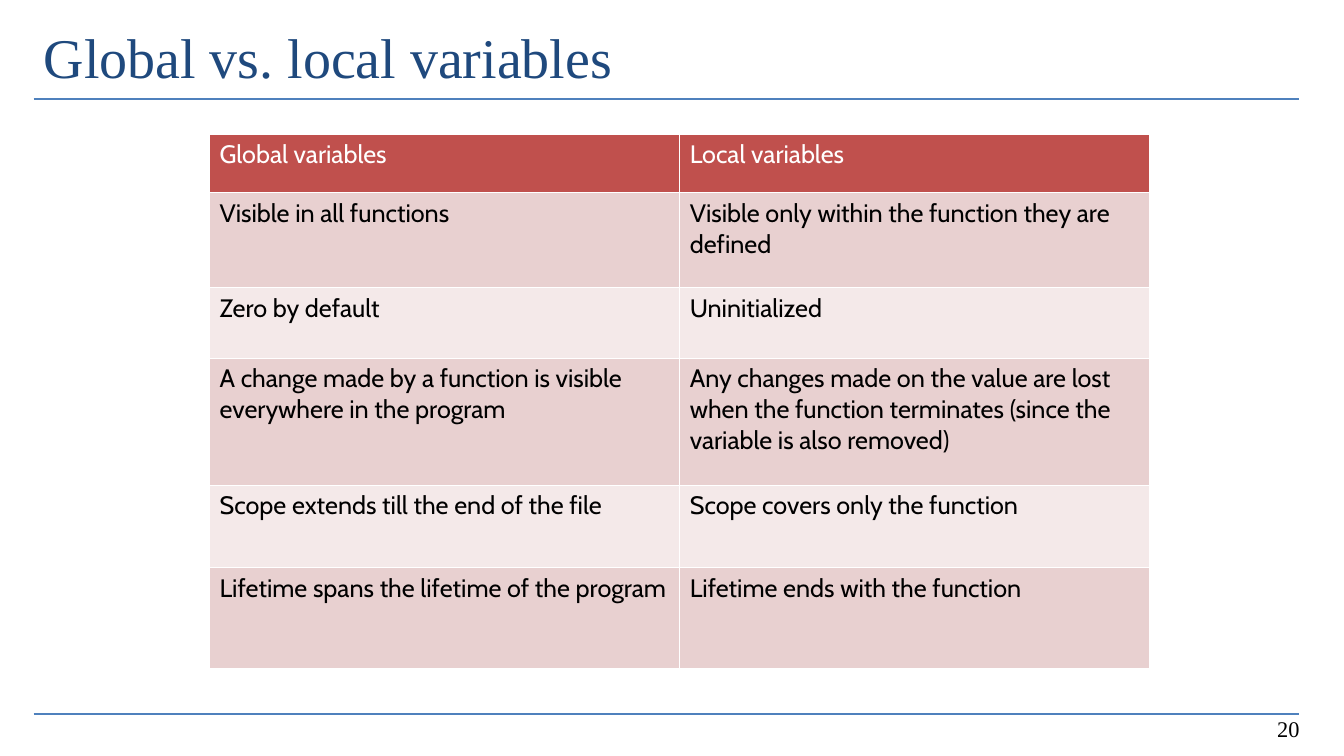
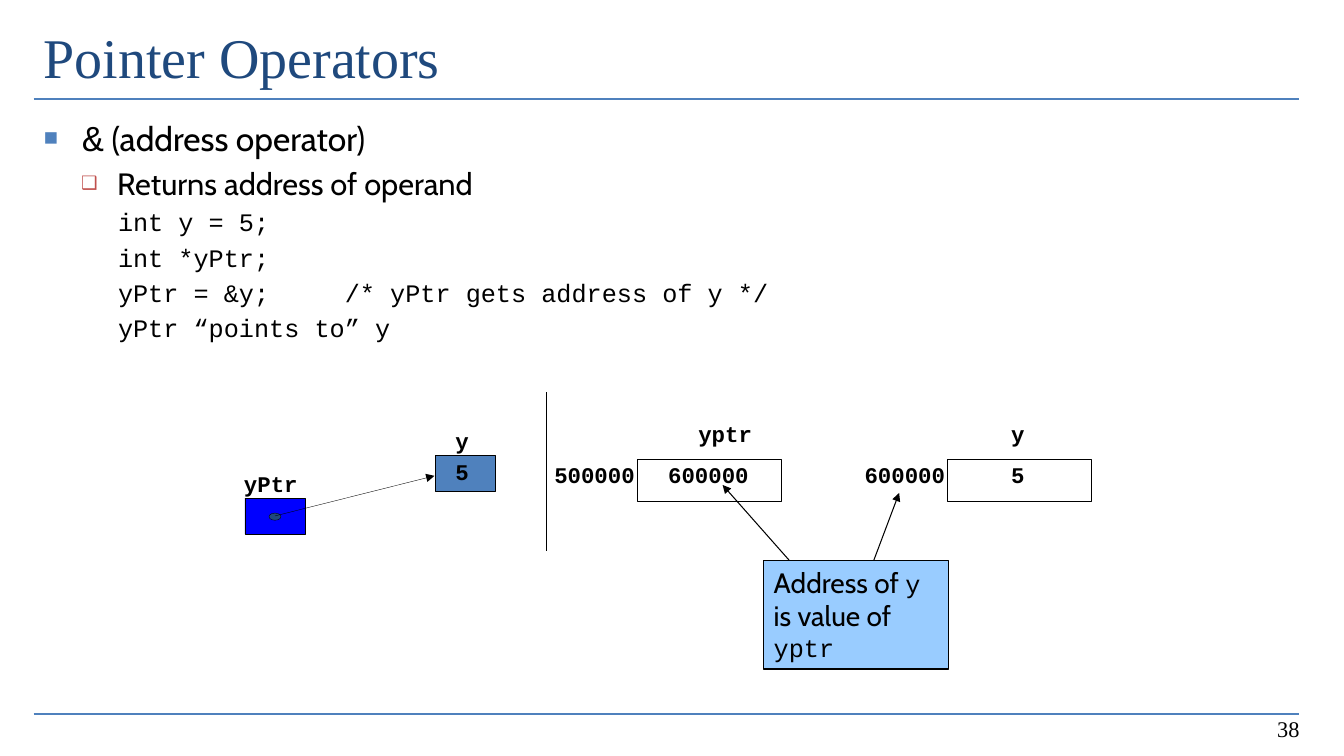
"""Builds two lecture slides on variable scope and pointer operators."""
from lxml import etree
from pptx import Presentation
from pptx.dml.color import RGBColor
from pptx.enum.shapes import MSO_CONNECTOR, MSO_SHAPE
from pptx.enum.text import MSO_ANCHOR, MSO_AUTO_SIZE, PP_ALIGN
from pptx.oxml.ns import qn
from pptx.util import Cm, Pt

LINE = MSO_CONNECTOR.STRAIGHT
RECT, OVAL = MSO_SHAPE.RECTANGLE, MSO_SHAPE.OVAL
TOP, BOTTOM = MSO_ANCHOR.TOP, MSO_ANCHOR.BOTTOM
LEFT, RIGHT = PP_ALIGN.LEFT, PP_ALIGN.RIGHT
FIXED = MSO_AUTO_SIZE.NONE

BLACK, WHITE, BLUE, NAVY, RED = "000000", "FFFFFF", "4F81BD", "1F497D", "C0504D"
BANDS = ("E8D0D0", "F4E9E9")

HEAD = {"name": "Times New Roman", "size": 40, "color": NAVY}
FOOT = {"name": "Times New Roman", "size": 16, "color": BLACK}
CELL = {"name": "Cabin", "size": 18, "color": BLACK, "bold": False}
CODE = {"name": "Courier New", "size": 18, "color": BLACK}
LABEL = {**CODE, "size": 16, "bold": True}
TEXT = {"name": "Cabin", "size": 20, "color": BLACK}

EDGE, SPAN = 0.85, 31.9
RULES = (2.5, 18)
TITLE = (EDGE, 0.43, SPAN, 2.97)
BODY = (EDGE, 2.77, SPAN, 14.43)
NUMBER = (25.1, 17.55, 7.9, 1.27)

GRID = (5.28, 3.39, 23.7, 13.46)
ROWS = [
    (1.47, "Global variables", "Local variables"),
    (2.39, "Visible in all functions",
     "Visible only within the function they are defined"),
    (1.78, "Zero by default", "Uninitialized"),
    (3.2, "A change made by a function is visible everywhere in the program",
     "Any changes made on the value are lost when the function terminates "
     "(since the variable is also removed)"),
    (2.08, "Scope extends till the end of the file",
     "Scope covers only the function"),
    (2.54, "Lifetime spans the lifetime of the program",
     "Lifetime ends with the function"),
]

LEVELS = [
    (0.97, -0.97, ("■", BLUE, 65)),
    (1.85, -0.91, ("❑", RED, 60)),
    (2.84, -0.97, None),
]
POINTS = [
    (0, [("&", {**CODE, "size": 26}),
         (" (address operator)", {**TEXT, "size": 24})]),
    (1, [("Returns address of operand", {**TEXT, "size": 22})]),
    (2, [("int y = 5;", CODE)]),
    (2, [("int *yPtr;", CODE)]),
    (2, [("yPtr = &y;     /* yPtr gets address of y */", CODE)]),
    (2, [("yPtr “points to” y", CODE)]),
]

SMALL, WIDE = (1.52, 0.91), (3.63, 1.05)
BOXES = [
    (RECT, 6.17, 12.55, SMALL, "0000FF"),
    (RECT, 10.97, 11.48, SMALL, BLUE),
    (RECT, 16.05, 11.58, WIDE, None),
    (RECT, 23.88, 11.58, WIDE, None),
    (OVAL, 6.78, 12.93, (0.3, 0.18), NAVY),
]
NAMES, CELLS = 10.72, 11.76
LABELS = [
    ("yPtr", 6.15, 12.01, 0.72),
    ("y", 11.48, 10.95, 0.72),
    ("5", 11.48, 11.71, 0.72),
    ("yptr", 17.6, NAMES, 0.8),
    ("y", 25.48, NAMES, 0.8),
    ("500000", 13.97, CELLS, 0.8),
    ("600000", 16.84, CELLS, 0.8),
    ("600000", 21.79, CELLS, 0.8),
    ("5", 25.48, CELLS, 0.8),
]
LINES = [
    (6.93, 13.0, 10.95, 11.99, 0.25, True),
    (13.77, 9.88, 13.77, 13.89, 0.75, False),
    (22.02, 14.12, 22.66, 12.42, 0.75, True),
    (19.89, 14.12, 18.21, 12.22, 0.75, True),
]
NOTE = (19.25, 14.12, 4.65, 2.74)
WORDS = [("Address of ", TEXT), ("y", CODE),
         (" is value of ", TEXT), ("yptr", CODE)]


def rgb(code):
    return RGBColor.from_string(code)


def cms(vals):
    return [Cm(val) for val in vals]


def sub(node, tag, **attrs):
    return etree.SubElement(node, qn(tag), attrs)


def style(font, form):
    for key, val in form.items():
        if key == "color":
            font.color.rgb = rgb(val)
        else:
            setattr(font, key, Pt(val) if key == "size" else val)


def write(para, runs):
    for text, form in runs:
        run = para.add_run()
        run.text = text
        style(run.font, form)


def setup(frame, **vals):
    base = {"auto_size": FIXED, "word_wrap": True, "vertical_anchor": TOP}
    for key, val in {**base, **vals}.items():
        setattr(frame, key, val)
    return frame.paragraphs[0]


def place(shape, area):
    for key, val in zip(("left", "top", "width", "height"), cms(area)):
        setattr(shape, key, val)


def link(slide, ends, color, width, arrow=False):
    line = slide.shapes.add_connector(LINE, *cms(ends))
    line.line.color.rgb = rgb(color)
    line.line.width = Pt(width)
    if arrow:
        sub(line.line._get_or_add_ln(), "a:tailEnd", type="triangle")
    sub(line._element.spPr, "a:effectLst")


def block(slide, kind, area, fill, width):
    shape = slide.shapes.add_shape(kind, *cms(area))
    shape.shadow.inherit = False
    if fill:
        shape.fill.solid()
        shape.fill.fore_color.rgb = rgb(fill)
    else:
        shape.fill.background()
    shape.line.color.rgb = rgb(BLACK)
    shape.line.width = Pt(width)
    return shape


def page(deck, layout, title, number):
    slide = deck.slides.add_slide(deck.slide_layouts[layout])
    for y in RULES:
        link(slide, (EDGE, y, EDGE + SPAN - 0.01, y), BLUE, 1.5)
    head = slide.shapes.title
    place(head, TITLE)
    para = setup(head.text_frame)
    para.alignment = LEFT
    write(para, [(title, HEAD)])
    foot = slide.shapes.add_textbox(*cms(NUMBER))
    para = setup(foot.text_frame, vertical_anchor=BOTTOM)
    para.alignment = RIGHT
    write(para, [(number, FOOT)])
    return slide


def border(cell):
    props = cell._tc.get_or_add_tcPr()
    for side in ("a:lnL", "a:lnR", "a:lnT", "a:lnB"):
        fill = sub(sub(props, side, w=str(Pt(1))), "a:solidFill")
        sub(fill, "a:srgbClr", val=WHITE)


def table(slide):
    grid = slide.shapes.add_table(len(ROWS), 2, *cms(GRID)).table
    for r, (height, *texts) in enumerate(ROWS):
        grid.rows[r].height = Cm(height)
        for c, text in enumerate(texts):
            cell = grid.cell(r, c)
            border(cell)
            cell.fill.solid()
            cell.fill.fore_color.rgb = rgb(BANDS[(r - 1) % 2] if r else RED)
            form = CELL if r else {**CELL, "color": WHITE}
            write(cell.text_frame.paragraphs[0], [(text, form)])


def bullet(para, level):
    left, hang, mark = LEVELS[level]
    para.level = level
    props = para._p.get_or_add_pPr()
    props.set("marL", str(Cm(left)))
    props.set("indent", str(Cm(hang)))
    if mark:
        char, color, size = mark
        sub(sub(props, "a:buClr"), "a:srgbClr", val=color)
        sub(props, "a:buSzPct", val=str(size * 1000))
        sub(props, "a:buChar", char=char)
    else:
        sub(props, "a:buNone")


def points(slide):
    body = slide.placeholders[1]
    place(body, BODY)
    frame = body.text_frame
    first = setup(frame)
    for i, (level, runs) in enumerate(POINTS):
        para = frame.add_paragraph() if i else first
        bullet(para, level)
        write(para, runs)
    first.space_before = Pt(0)


def diagram(slide):
    for kind, x, y, size, fill in BOXES:
        block(slide, kind, (x, y, *size), fill, 0.25)
    for text, x, y, space in LABELS:
        box = slide.shapes.add_textbox(*cms((x, y, 0.36 * len(text), 0.6)))
        para = setup(box.text_frame, word_wrap=False, margin_left=0,
                     margin_right=0, margin_top=0, margin_bottom=0)
        para.line_spacing = space
        write(para, [(text, LABEL)])
    note = block(slide, RECT, NOTE, "99CCFF", 0.75)
    para = setup(note.text_frame)
    para.alignment = LEFT
    write(para, WORDS)
    for *ends, width, arrow in LINES:
        link(slide, ends, BLACK, width, arrow)


def main():
    deck = Presentation()
    deck.slide_width, deck.slide_height = cms((33.87, 19.05))
    table(page(deck, 5, "Global vs. local variables", "20"))
    slide = page(deck, 1, "Pointer Operators", "38")
    points(slide)
    diagram(slide)
    deck.save("out.pptx")


if __name__ == "__main__":
    main()
